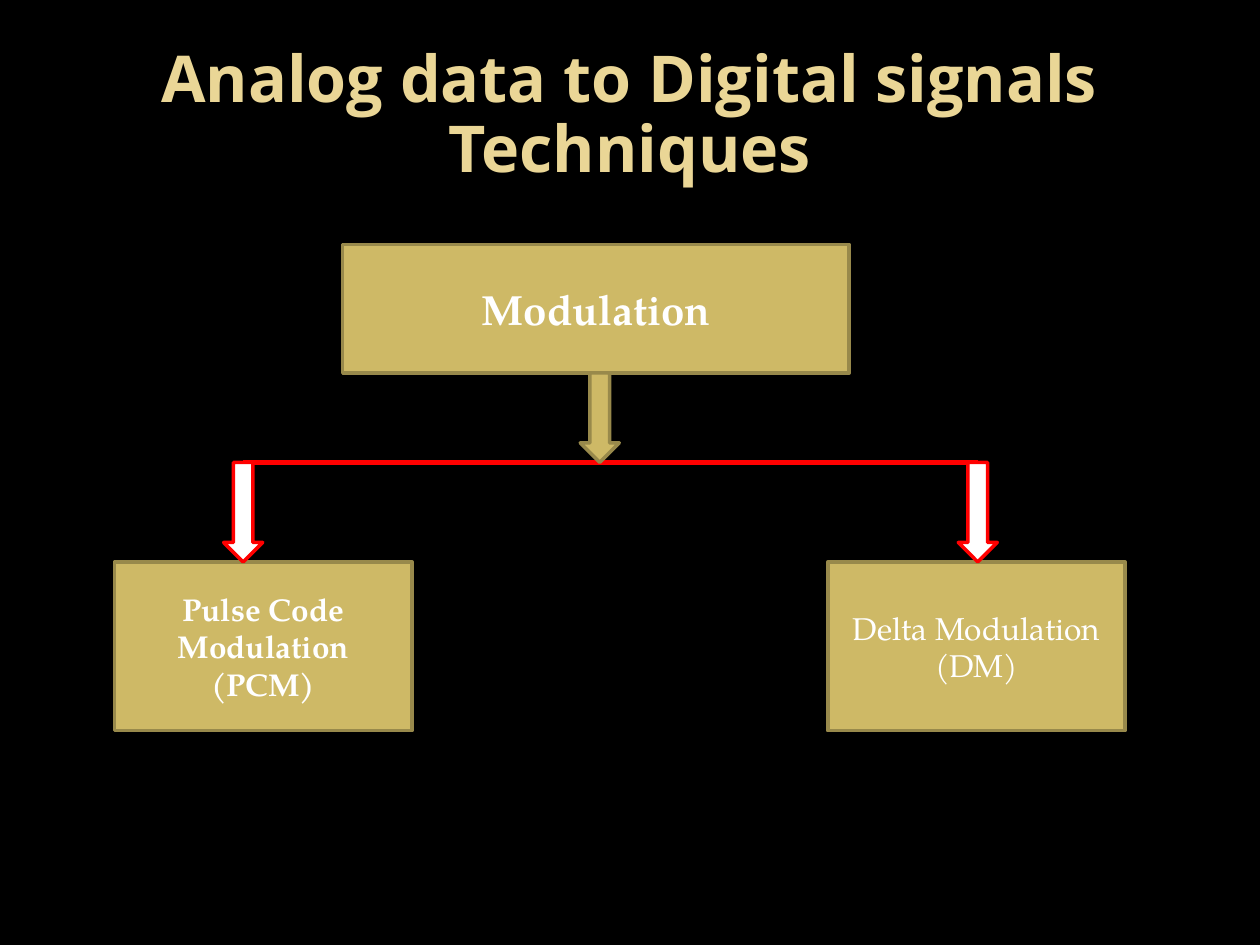
import pptx
import pptx.dml.color
import pptx.enum.shapes
import pptx.enum.text
import pptx.oxml.ns
import pptx.util
import lxml.etree

SHAPES = pptx.enum.shapes.MSO_SHAPE
WIDTH, HEIGHT = 10, 7.5
COLUMNS, ROWS = 100, 75


def color(value):
    return pptx.dml.color.RGBColor.from_string(value)


class Diagram:
    gold, edge, white, red = "CEB966", "98894B", "FFFFFF", "FF0000"
    title_color, background = "EAD696", "000000"
    title_font, body_font = "Open Sans", "TeX Gyre Pagella"

    def __init__(self, deck):
        self.page = deck.slides.add_slide(deck.slide_layouts[6])
        fill = self.page.background.fill
        fill.solid()
        fill.fore_color.rgb = color(self.background)

    def place(self, *cells):
        steps = (WIDTH / COLUMNS, HEIGHT / ROWS) * 2
        return [pptx.util.Inches(cell * step) for cell, step in zip(cells, steps)]

    def label(self, box, text, size, font, ink, bold):
        frame = box.text_frame
        frame.word_wrap = True
        frame.vertical_anchor = pptx.enum.text.MSO_ANCHOR.MIDDLE
        para = frame.paragraphs[0]
        para.text = text
        para.alignment = pptx.enum.text.PP_ALIGN.CENTER
        para.font.size = pptx.util.Pt(size)
        para.font.name = font
        para.font.bold = bold
        para.font.color.rgb = color(ink)
        return para

    def title(self, text, *cells):
        box = self.page.shapes.add_textbox(*self.place(*cells))
        para = self.label(box, text, 36.9, self.title_font, self.title_color, True)
        para.line_spacing = 0.9

    def shape(self, kind, cells, fill, line):
        shape = self.page.shapes.add_shape(kind, *self.place(*cells))
        shape.shadow.inherit = False
        shape.fill.solid()
        shape.fill.fore_color.rgb = color(fill)
        shape.line.color.rgb = color(line)
        shape.line.width = pptx.util.Pt(2)
        return shape

    def node(self, text, *cells, size=18, bold=True):
        box = self.shape(SHAPES.RECTANGLE, cells, self.gold, self.edge)
        self.label(box, text, size, self.body_font, self.white, bold)

    def arrow(self, center, top, bottom, fill, line):
        width = 3.1
        cells = (center - width / 2, top, width, bottom - top)
        self.shape(SHAPES.DOWN_ARROW, cells, fill, line)

    def branch(self, left, right, row):
        line = self.page.shapes.add_connector(
            pptx.enum.shapes.MSO_CONNECTOR.STRAIGHT, *self.place(left, row, right, row))
        line.line.color.rgb = color(self.red)
        line.line.width = pptx.util.Pt(3)
        lxml.etree.SubElement(line._element.spPr, pptx.oxml.ns.qn("a:effectLst"))


def main():
    deck = pptx.Presentation()
    deck.slide_width = pptx.util.Inches(WIDTH)
    deck.slide_height = pptx.util.Inches(HEIGHT)
    diagram = Diagram(deck)

    root_bottom, branch_row, leaf_top = 29.6, 36.7, 44.6
    left, right = 19.3, 77.6

    diagram.title("Analog data to Digital signals Techniques", 5, 3, 90, 12.5)
    diagram.node("Modulation", 27.2, 19.4, 40.2, root_bottom - 19.4, size=24)
    diagram.node("Pulse Code Modulation (PCM)", 9.1, leaf_top, 23.6, 13.4)
    diagram.node("Delta Modulation (DM)", 65.7, leaf_top, 23.6, 13.4, bold=False)
    diagram.branch(left, right, branch_row)
    diagram.arrow(47.6, root_bottom, branch_row, diagram.gold, diagram.edge)
    for center in (left, right):
        diagram.arrow(center, branch_row, leaf_top, diagram.white, diagram.red)

    deck.save("out.pptx")


if __name__ == "__main__":
    main()
